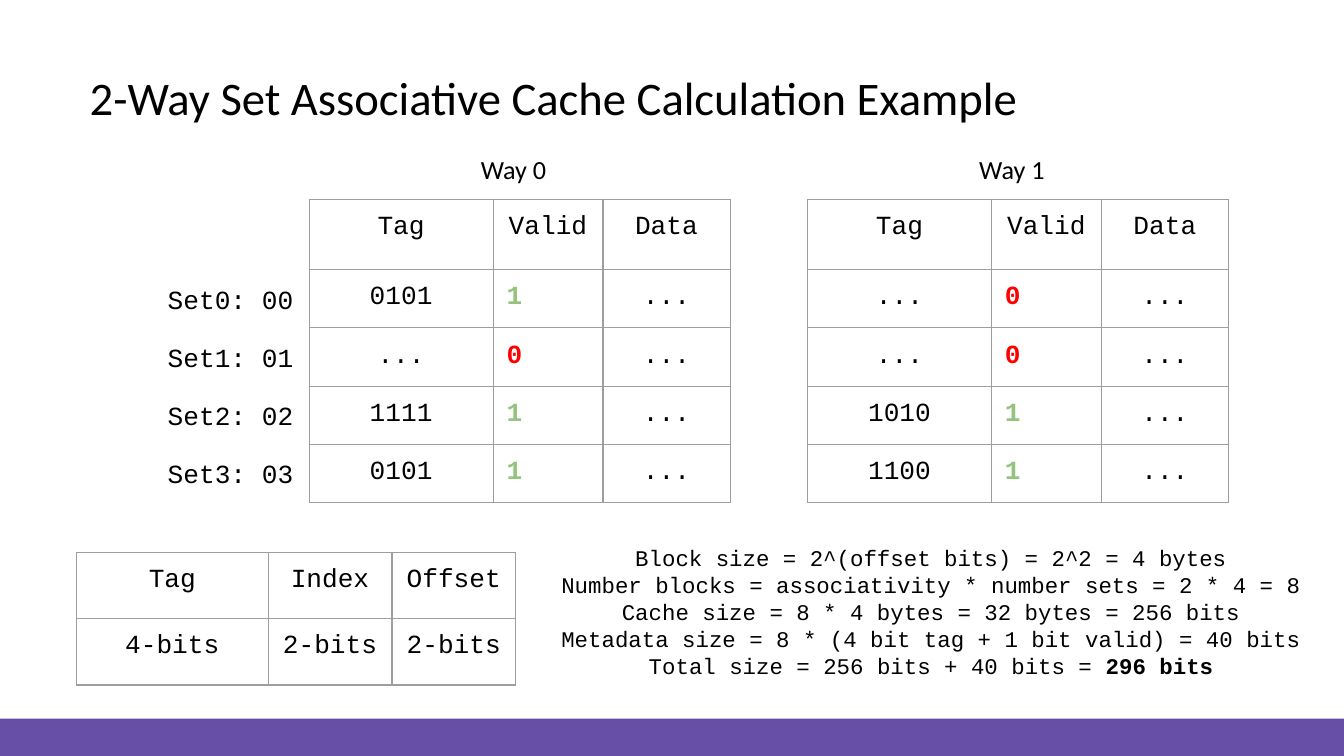
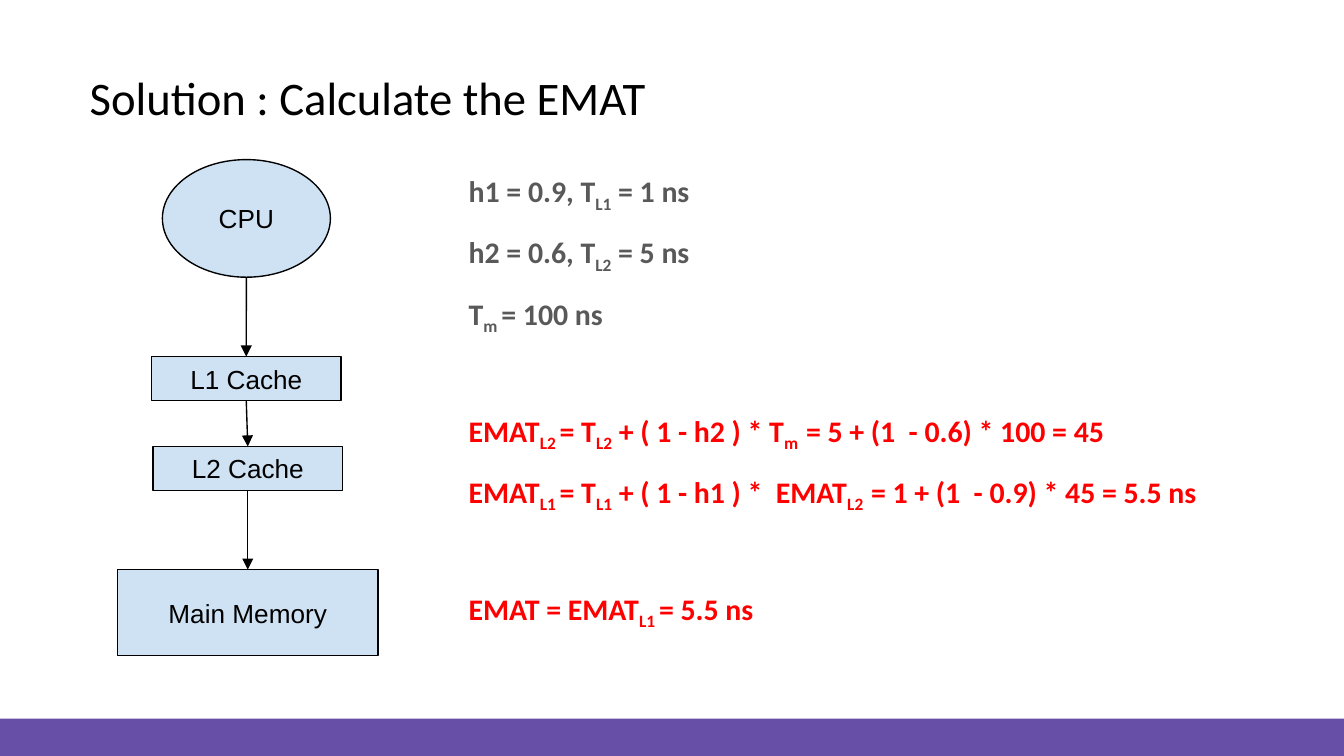
from dataclasses import dataclass, field

from lxml.etree import SubElement
from pptx import Presentation
from pptx.dml.color import RGBColor
from pptx.enum.shapes import MSO_CONNECTOR, MSO_SHAPE
from pptx.enum.text import MSO_ANCHOR, PP_ALIGN
from pptx.oxml.ns import qn
from pptx.util import Pt


@dataclass
class Theme:
    """Colours, fonts and type sizes of the deck."""

    band: str = "674EA7"
    ink: str = "000000"
    muted: str = "595959"
    answer: str = "FF0000"
    node: str = "CFE2F3"
    grid: str = "9E9E9E"
    valid: dict = field(default_factory=lambda: {"1": "93C47D", "0": "FF0000"})
    heading: str = "Calibri"
    code: str = "Courier New"
    diagram: str = "Arial"
    title_size: float = 25
    formula_size: float = 16
    body_size: float = 14
    note_size: float = 12
    line_width: float = 0.75
    inset: float = 7.2


class Deck:
    """Holds the theme and the current page and draws on it."""

    def __init__(self, theme):
        """Open an empty widescreen deck."""
        self.theme = theme
        self.file = Presentation()
        self.file.slide_width, self.file.slide_height = Pt(720), Pt(405)
        self.page = None

    def new_page(self, title):
        """Add a page with the shared band and title."""
        self.page = self.file.slides.add_slide(self.file.slide_layouts[6])
        self.shape(MSO_SHAPE.RECTANGLE, 0, 385, 720, 20, self.theme.band)
        self.text([title], 41, 29.5, 638, 45, self.theme.heading, self.theme.title_size)

    def style(self, span, font, size, color=None, bold=False):
        """Format one run."""
        span.font.name, span.font.size, span.font.bold = font, Pt(size), bold
        span.font.color.rgb = RGBColor.from_string(color or self.theme.ink)

    def pad(self, target):
        """Give a text frame or a cell the shared inset."""
        target.margin_left = target.margin_right = Pt(self.theme.inset)
        target.margin_top = target.margin_bottom = Pt(self.theme.inset)

    def text(self, lines, left, top, width, height, font, size, align=PP_ALIGN.LEFT):
        """Add a text box with one paragraph per line and return its frame."""
        box = self.page.shapes.add_textbox(Pt(left), Pt(top), Pt(width), Pt(height))
        frame = box.text_frame
        frame.word_wrap = True
        self.pad(frame)
        frame.text = "\n".join(lines)
        for para in frame.paragraphs:
            para.alignment = align
            for span in para.runs:
                self.style(span, font, size)
        return frame

    def formulas(self, lines, left, top, width, height):
        """Add bold formulas from (text, colour, space before), subscripts between bars."""
        theme = self.theme
        frame = self.text([""] * len(lines), left, top, width, height, theme.heading, theme.formula_size)
        for para, (formula, color, gap) in zip(frame.paragraphs, lines):
            para.line_spacing, para.space_before = 0.95, Pt(gap)
            for index, part in enumerate(formula.split("|")):
                span = para.add_run()
                span.text = part
                self.style(span, theme.heading, theme.formula_size, color, True)
                if index % 2:
                    span.font._element.set("baseline", "-25000")

    def shape(self, kind, left, top, width, height, fill):
        """Add a plain filled shape."""
        box = self.page.shapes.add_shape(kind, Pt(left), Pt(top), Pt(width), Pt(height))
        box.shadow.inherit = False
        box.fill.solid()
        box.fill.fore_color.rgb = RGBColor.from_string(fill)
        box.line.fill.background()
        return box

    def stroke(self, line):
        """Set the shared outline."""
        line.color.rgb = RGBColor.from_string(self.theme.ink)
        line.width = Pt(self.theme.line_width)

    def node(self, label, kind, left, top, width, height):
        """Add a labelled diagram node."""
        box = self.shape(kind, left, top, width, height, self.theme.node)
        self.stroke(box.line)
        frame = box.text_frame
        frame.text = label
        frame.vertical_anchor = MSO_ANCHOR.MIDDLE
        self.pad(frame)
        para = frame.paragraphs[0]
        para.alignment = PP_ALIGN.CENTER
        self.style(para.runs[0], self.theme.diagram, self.theme.body_size)
        return box

    def arrow(self, upper, lower):
        """Draw an arrow from the foot of one node to the top of another."""
        connector = self.page.shapes.add_connector(
            MSO_CONNECTOR.STRAIGHT,
            upper.left + upper.width // 2, upper.top + upper.height,
            lower.left + lower.width // 2, lower.top)
        self.stroke(connector.line)
        SubElement(connector.line._get_or_add_ln(), qn("a:tailEnd"), type="triangle")
        SubElement(connector._element.spPr, qn("a:effectLst"))

    def border(self, cell):
        """Draw the four grid lines of a cell."""
        properties = cell._tc.get_or_add_tcPr()
        for index, side in enumerate(("lnL", "lnR", "lnT", "lnB")):
            line = properties.makeelement(qn(f"a:{side}"), {"w": str(Pt(self.theme.line_width))})
            fill = SubElement(line, qn("a:solidFill"))
            SubElement(fill, qn("a:srgbClr"), val=self.theme.grid)
            properties.insert(index, line)

    def table(self, rows, left, top, widths, heights):
        """Add a grid in which valid bits are bold, coloured and left aligned."""
        frame = self.page.shapes.add_table(
            len(rows), len(widths), Pt(left), Pt(top), Pt(sum(widths)), Pt(sum(heights)))
        table = frame.table
        table.first_row = table.horz_banding = False
        for column, width in zip(table.columns, widths):
            column.width = Pt(width)
        for row, height, values in zip(table.rows, heights, rows):
            row.height = Pt(height)
            for cell, value in zip(row.cells, values):
                cell.text = value
                cell.fill.background()
                self.pad(cell)
                self.border(cell)
                color = self.theme.valid.get(value)
                para = cell.text_frame.paragraphs[0]
                para.alignment = PP_ALIGN.LEFT if color else PP_ALIGN.CENTER
                self.style(para.runs[0], self.theme.code, self.theme.body_size, color, bool(color))


def cache_page(deck):
    """Build the set associative cache example."""
    theme = deck.theme
    deck.new_page("2-Way Set Associative Cache Calculation Example")
    deck.table([("Tag", "Index", "Offset"), ("4-bits", "2-bits", "2-bits")],
               41, 296, (102.7, 66.3, 66.3), (35.5, 35.5))
    frame = deck.text(
        ["Block size = 2^(offset bits) = 2^2 = 4 bytes",
         "Number blocks = associativity * number sets = 2 * 4 = 8",
         "Cache size = 8 * 4 bytes = 32 bytes = 256 bits",
         "Metadata size = 8 * (4 bit tag + 1 bit valid) = 40 bits",
         "Total size = 256 bits + 40 bits = "],
        270.5, 284.5, 456.5, 87, theme.code, theme.note_size, PP_ALIGN.CENTER)
    total = frame.paragraphs[-1].add_run()
    total.text = "296 bits"
    deck.style(total, theme.code, theme.note_size, bold=True)

    ways = [
        [("0101", "1"), ("...", "0"), ("1111", "1"), ("0101", "1")],
        [("...", "0"), ("...", "0"), ("1010", "1"), ("1100", "1")],
    ]
    for index, entries in enumerate(ways):
        shift = 267 * index
        rows = [("Tag", "Valid", "Data")] + [(*entry, "...") for entry in entries]
        deck.table(rows, 165.6 + shift, 107, (98.6, 58.8, 68.2), (37.4, 31.2, 31.2, 31.2, 31.2))
        deck.text([f"Way {index}"], 250.5 + shift, 75, 56, 32, theme.heading, theme.body_size)
    for index in range(4):
        deck.text([f"Set{index}: 0{index}"], 82.8, 144.8 + 31 * index, 83, 32,
                  theme.code, theme.body_size)


def emat_page(deck):
    """Build the memory hierarchy and the access time solution."""
    theme = deck.theme
    deck.new_page("Solution : Calculate the EMAT")
    near, far = 12, 42
    deck.formulas(
        [("h1 = 0.9, T|L1| = 1 ns", theme.muted, 0),
         ("h2 = 0.6, T|L2| = 5 ns", theme.muted, near),
         ("T|m |= 100 ns", theme.muted, near),
         ("EMAT|L2 |= T|L2| + ( 1 - h2 ) * T|m  |= 5 + (1  - 0.6) * 100 = 45", theme.answer, far),
         ("EMAT|L1 |= T|L1| + ( 1 - h1 ) *  EMAT|L2  |= 1 + (1  - 0.9) * 45 = 5.5 ns",
          theme.answer, near),
         ("EMAT = EMAT|L1 |= 5.5 ns", theme.answer, far)],
        244, 85.5, 431, 282)
    nodes = [
        deck.node("CPU", MSO_SHAPE.OVAL, 87, 85.5, 90, 63),
        deck.node("L1 Cache", MSO_SHAPE.RECTANGLE, 81.2, 191, 101.5, 23.6),
        deck.node("L2 Cache", MSO_SHAPE.RECTANGLE, 82, 239.2, 101.5, 23.6),
        deck.node("Main Memory", MSO_SHAPE.RECTANGLE, 63, 305.2, 139.5, 46),
    ]
    for upper, lower in zip(nodes, nodes[1:]):
        deck.arrow(upper, lower)


def main():
    """Build and save the deck."""
    deck = Deck(Theme())
    cache_page(deck)
    emat_page(deck)
    deck.file.save("out.pptx")


if __name__ == "__main__":
    main()
